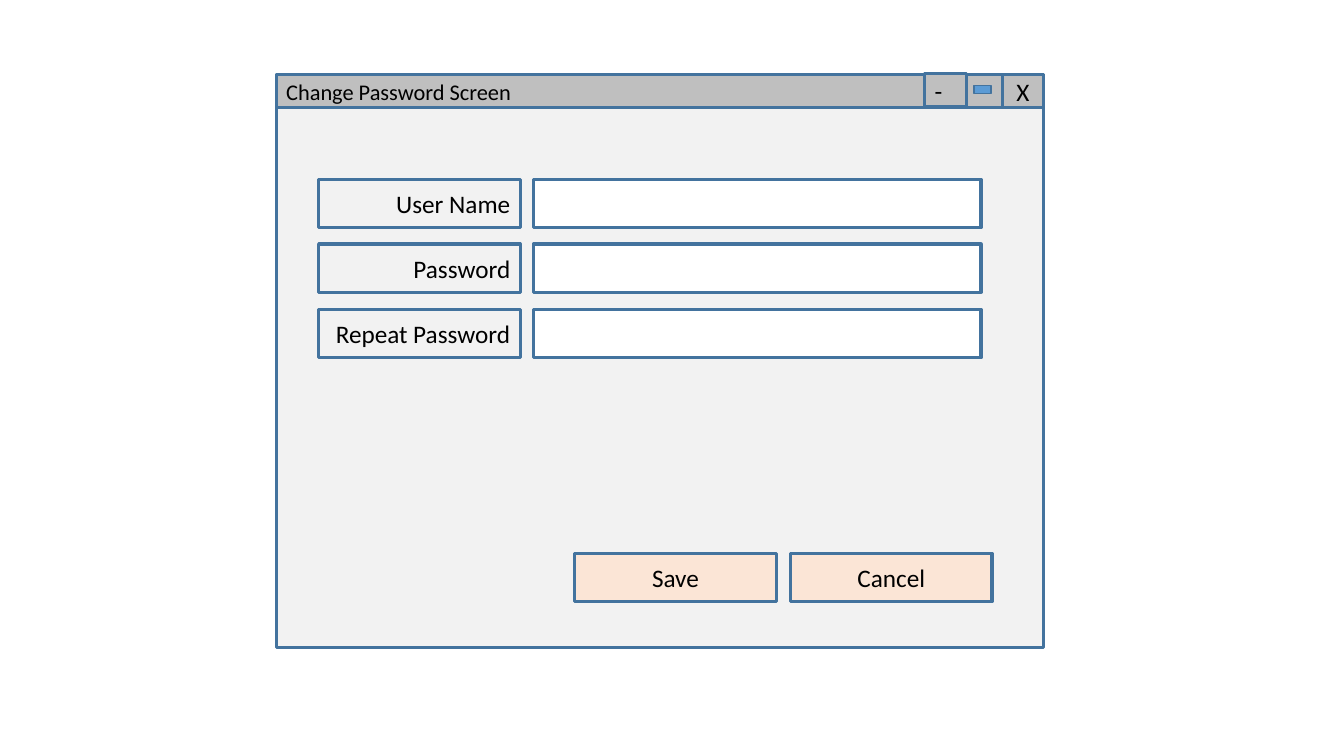
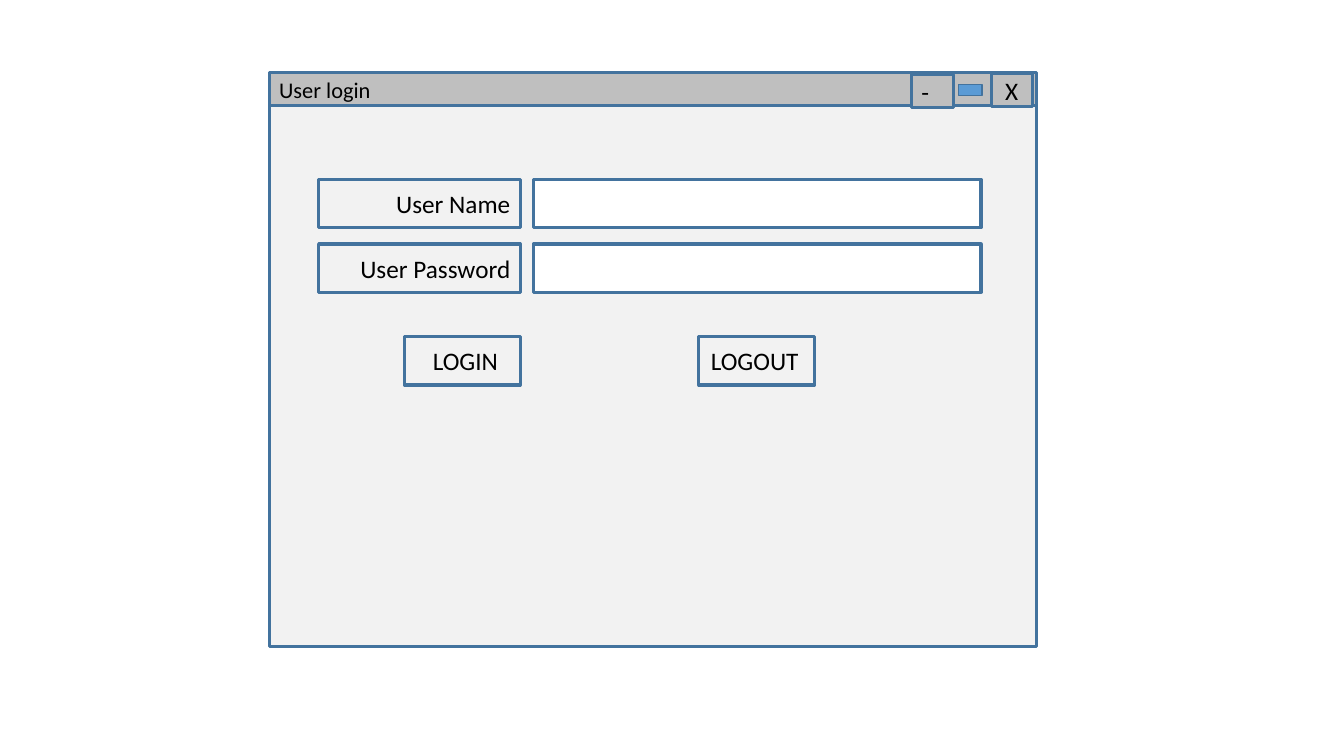
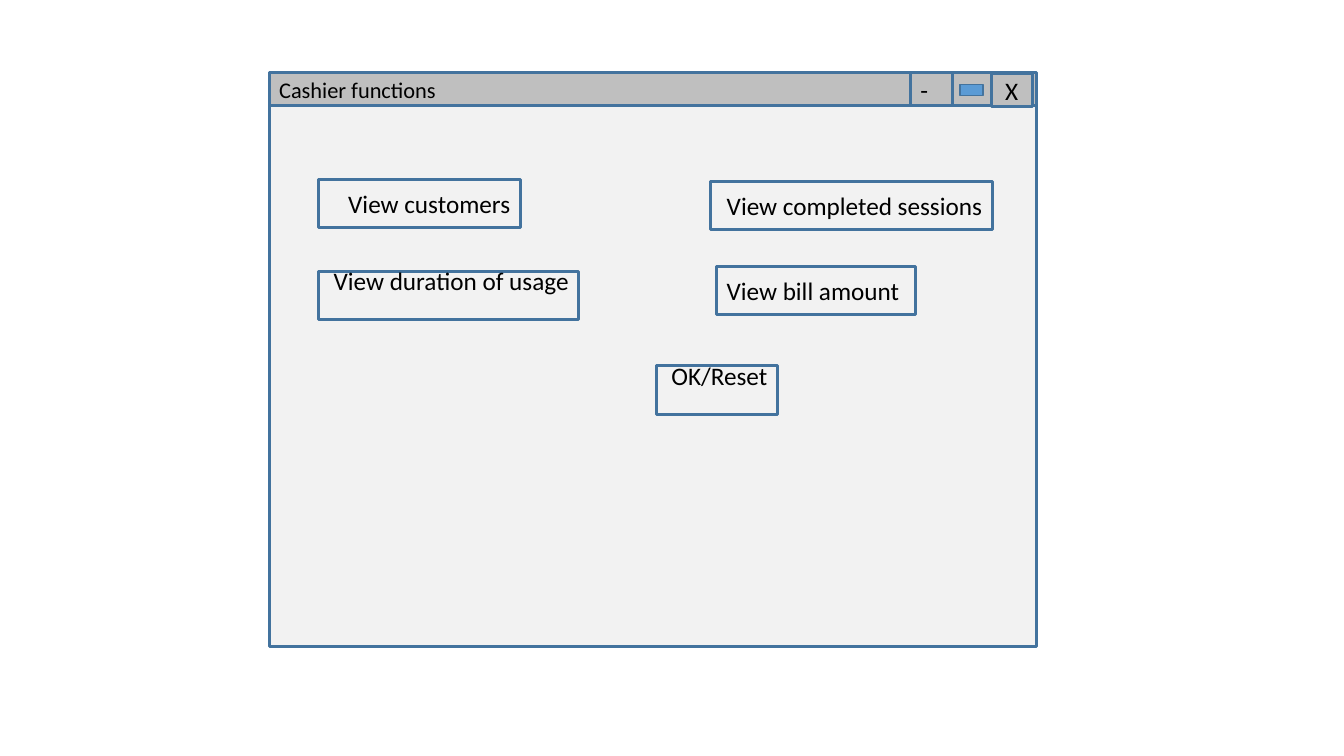
"""Builds three slides with screen mock-ups for a desktop application."""
from dataclasses import dataclass

from pptx import Presentation
from pptx.dml.color import RGBColor
from pptx.enum.shapes import MSO_SHAPE
from pptx.enum.text import MSO_ANCHOR, PP_ALIGN
from pptx.shapes.autoshape import Shape
from pptx.shapes.shapetree import GroupShapes, SlideShapes
from pptx.util import Inches, Pt

RECTANGLE = MSO_SHAPE.RECTANGLE
MIDDLE = MSO_ANCHOR.MIDDLE
LEFT, CENTER, RIGHT = PP_ALIGN.LEFT, PP_ALIGN.CENTER, PP_ALIGN.RIGHT

FONT = "Calibri"
BLACK = "000000"
OUTLINE = "43739E"
PANEL = "F2F2F2"
TITLE_BAR = "BFBFBF"
FIELD = "FFFFFF"
ACTION = "FBE5D6"
MAXIMIZE = "5B9BD5"

WINDOW_WIDTH, WINDOW_HEIGHT = 7.61, 5.68
BAR_HEIGHT = 0.33
CONTROL_HEIGHT = 0.48
LABEL_LEFT, LABEL_WIDTH = 3.16, 2.0
FIELD_LEFT, FIELD_WIDTH = 5.29, 4.44


@dataclass(frozen=True)
class Box:
    """Place and size of a rectangle in inches."""
    left: float
    top: float
    width: float
    height: float = CONTROL_HEIGHT


@dataclass(frozen=True)
class Button:
    """A captioned button; the insets shift its caption."""
    caption: str
    box: Box
    fill: str = PANEL
    align: PP_ALIGN = RIGHT
    right_inset: float = 0.1
    bottom_inset: float = 0.05


@dataclass(frozen=True)
class FieldRow:
    """A label with an entry field beside it."""
    label: str
    top: float


@dataclass(frozen=True)
class Screen:
    """One window with its title controls and contents."""
    title: str
    panel_left: float
    panel_top: float
    bar_top: float
    minimize: Box
    maximize: Box
    close: Box
    rows: tuple[FieldRow, ...] = ()
    buttons: tuple[Button, ...] = ()


SCREENS = (
    Screen(
        "Change Password Screen", 2.74, 0.74, 0.74,
        minimize=Box(9.17, 0.73, 0.42, BAR_HEIGHT),
        maximize=Box(9.66, 0.85, 0.17, 0.08),
        close=Box(9.94, 0.74, 0.41, BAR_HEIGHT),
        rows=(FieldRow("User Name", 1.78), FieldRow("Password", 2.42),
              FieldRow("Repeat Password", 3.07)),
        buttons=(Button("Save", Box(5.7, 5.49, 2), ACTION, CENTER),
                 Button("Cancel", Box(7.84, 5.49, 2), ACTION, CENTER)),
    ),
    Screen(
        "User login", 2.67, 0.73, 0.72,
        minimize=Box(9.04, 0.74, 0.42, BAR_HEIGHT),
        maximize=Box(9.51, 0.84, 0.23, 0.11),
        close=Box(9.83, 0.73, 0.41, BAR_HEIGHT),
        rows=(FieldRow("User Name", 1.78), FieldRow("User Password", 2.42)),
        buttons=(Button("LOGIN", Box(4.01, 3.34, 1.15), right_inset=0.22),
                 Button("LOGOUT", Box(6.93, 3.34, 1.15), right_inset=0.16)),
    ),
    Screen(
        "Cashier functions", 2.67, 0.73, 0.72,
        minimize=Box(9.03, 0.72, 0.42, BAR_HEIGHT),
        maximize=Box(9.52, 0.84, 0.23, 0.11),
        close=Box(9.83, 0.73, 0.41, BAR_HEIGHT),
        buttons=(
            Button("View customers", Box(LABEL_LEFT, 1.78, LABEL_WIDTH)),
            Button("View completed sessions", Box(7.05, 1.8, 2.79)),
            Button("View bill amount", Box(7.11, 2.64, 1.97), right_inset=0.16),
            Button("View duration of usage", Box(LABEL_LEFT, 2.69, 2.58), bottom_inset=0.34),
            Button("OK/Reset", Box(6.51, 3.63, 1.2), bottom_inset=0.34),
        ),
    ),
)


def color(value: str) -> RGBColor:
    """Turn a hex string into a colour."""
    return RGBColor.from_string(value)


def add_box(shapes: SlideShapes | GroupShapes, box: Box, fill: str,
            line_width: float = 2.25) -> Shape:
    """Add an outlined rectangle."""
    shape = shapes.add_shape(RECTANGLE, Inches(box.left), Inches(box.top),
                             Inches(box.width), Inches(box.height))
    shape.shadow.inherit = False
    shape.fill.solid()
    shape.fill.fore_color.rgb = color(fill)
    shape.line.color.rgb = color(OUTLINE)
    shape.line.width = Pt(line_width)
    return shape


def write_text(shape: Shape, text: str, *, size: float = 18, align: PP_ALIGN = LEFT,
               left_inset: float = 0.1, right_inset: float = 0.1,
               bottom_inset: float = 0.05) -> None:
    """Write one formatted line of text into a shape."""
    frame = shape.text_frame
    frame.word_wrap = True
    frame.vertical_anchor = MIDDLE
    frame.margin_left = Inches(left_inset)
    frame.margin_right = Inches(right_inset)
    frame.margin_bottom = Inches(bottom_inset)
    paragraph = frame.paragraphs[0]
    paragraph.alignment = align
    run = paragraph.add_run()
    run.text = text
    run.font.name = FONT
    run.font.size = Pt(size)
    run.font.color.rgb = color(BLACK)


def draw_window(shapes: SlideShapes, screen: Screen) -> None:
    """Draw the panel, title bar and title controls."""
    add_box(shapes, Box(screen.panel_left, screen.panel_top, WINDOW_WIDTH, WINDOW_HEIGHT), PANEL)
    bar = Box(screen.panel_left, screen.bar_top, WINDOW_WIDTH, BAR_HEIGHT)
    write_text(add_box(shapes, bar, TITLE_BAR), screen.title, size=16)
    write_text(add_box(shapes, screen.close, TITLE_BAR), "X", align=CENTER)
    write_text(add_box(shapes, screen.minimize, TITLE_BAR), "-")
    add_box(shapes, screen.maximize, MAXIMIZE, line_width=1)


def draw_row(shapes: SlideShapes, row: FieldRow) -> None:
    """Draw a label and its entry field as a group."""
    group = shapes.add_group_shape()
    label = add_box(group.shapes, Box(LABEL_LEFT, row.top, LABEL_WIDTH), PANEL)
    write_text(label, row.label, align=RIGHT)
    add_box(group.shapes, Box(FIELD_LEFT, row.top, FIELD_WIDTH), FIELD)


def draw_button(shapes: SlideShapes, button: Button) -> None:
    """Draw a button with its caption."""
    left_inset = 0.1 if button.align == CENTER else 0.05
    write_text(add_box(shapes, button.box, button.fill), button.caption,
               align=button.align, left_inset=left_inset,
               right_inset=button.right_inset, bottom_inset=button.bottom_inset)


def main() -> None:
    """Build and save the presentation."""
    presentation = Presentation()
    presentation.slide_width = Inches(13.33)
    presentation.slide_height = Inches(7.5)
    blank_layout = presentation.slide_layouts[6]
    for screen in SCREENS:
        shapes = presentation.slides.add_slide(blank_layout).shapes
        draw_window(shapes, screen)
        for row in screen.rows:
            draw_row(shapes, row)
        for button in screen.buttons:
            draw_button(shapes, button)
    presentation.save("out.pptx")


main()
